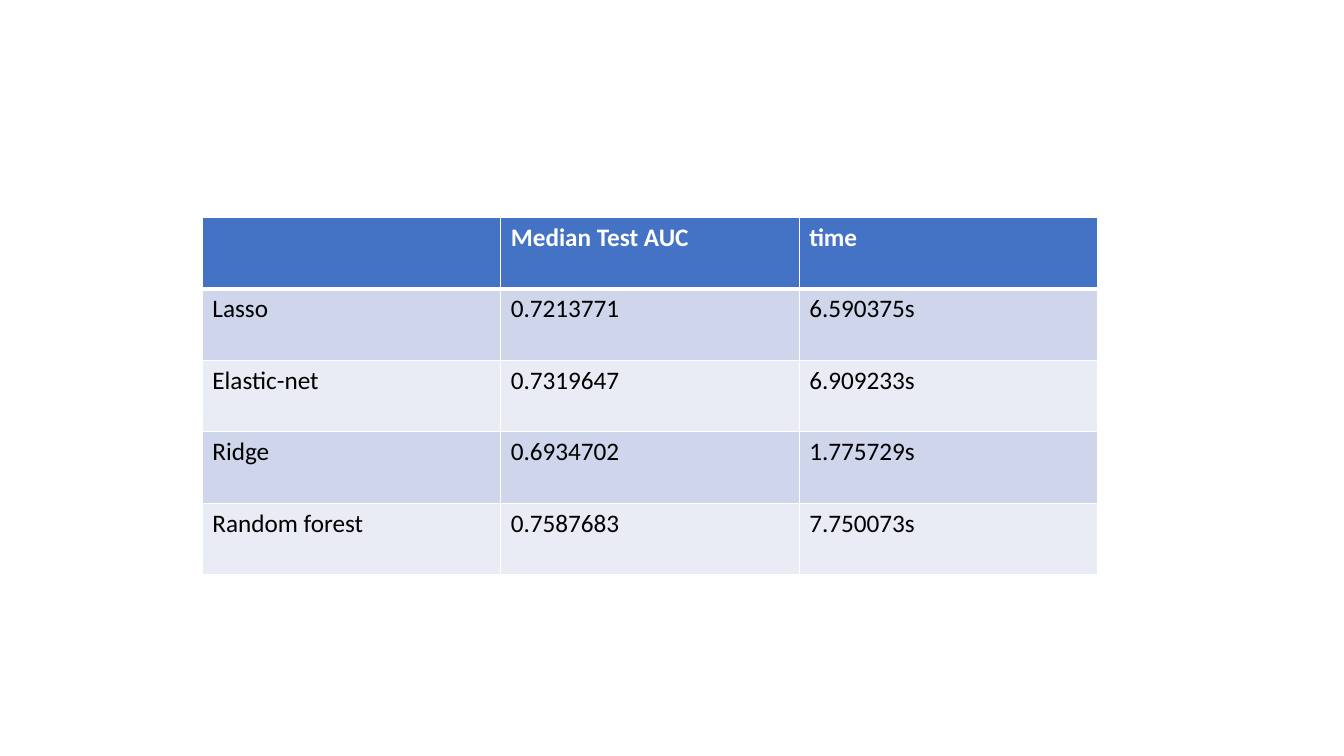
from lxml.etree import SubElement
from pptx import Presentation
from pptx.dml.color import RGBColor
from pptx.oxml.ns import qn
from pptx.util import Cm, Pt

HEADER_FILL, WHITE, BLACK = "4472C4", "FFFFFF", "000000"
BAND_FILLS = ["E9EBF5", "CFD5EA"]


def color(hex_string):
    return RGBColor.from_string(hex_string)


def add_border(cell, side, points):
    line = SubElement(cell._tc.get_or_add_tcPr(), qn(f"a:{side}"), w=str(Pt(points)))
    fill = SubElement(line, qn("a:solidFill"))
    SubElement(fill, qn("a:srgbClr"), val=WHITE)


presentation = Presentation()
presentation.slide_width, presentation.slide_height = Cm(33.87), Cm(19.05)
slide = presentation.slides.add_slide(presentation.slide_layouts[6])

# Model results
results = [
    ["", "Median Test AUC", "time"],
    ["Lasso", "0.7213771", "6.590375s"],
    ["Elastic-net", "0.7319647", "6.909233s"],
    ["Ridge", "0.6934702", "1.775729s"],
    ["Random forest", "0.7587683", "7.750073s"],
]

# Table grid
column_width, row_height = Cm(7.52), Cm(1.8)
table = slide.shapes.add_table(
    len(results), len(results[0]), Cm(5.1), Cm(5.48),
    column_width * len(results[0]), row_height * len(results)).table
for column in table.columns:
    column.width = column_width
for row in table.rows:
    row.height = row_height

# Cells: header row, then alternating bands
for row_index, values in enumerate(results):
    is_header = row_index == 0
    for column_index, value in enumerate(values):
        cell = table.cell(row_index, column_index)
        for side in ("lnL", "lnR", "lnT", "lnB"):
            thick = (is_header and side == "lnB") or (row_index == 1 and side == "lnT")
            add_border(cell, side, 3 if thick else 1)
        cell.fill.solid()
        cell.fill.fore_color.rgb = color(HEADER_FILL if is_header else BAND_FILLS[row_index % 2])
        if value:
            run = cell.text_frame.paragraphs[0].add_run()
            run.text = value
            run.font.name, run.font.size = "Calibri", Pt(18)
            run.font.bold = is_header
            run.font.color.rgb = color(WHITE if is_header else BLACK)

presentation.save("out.pptx")
